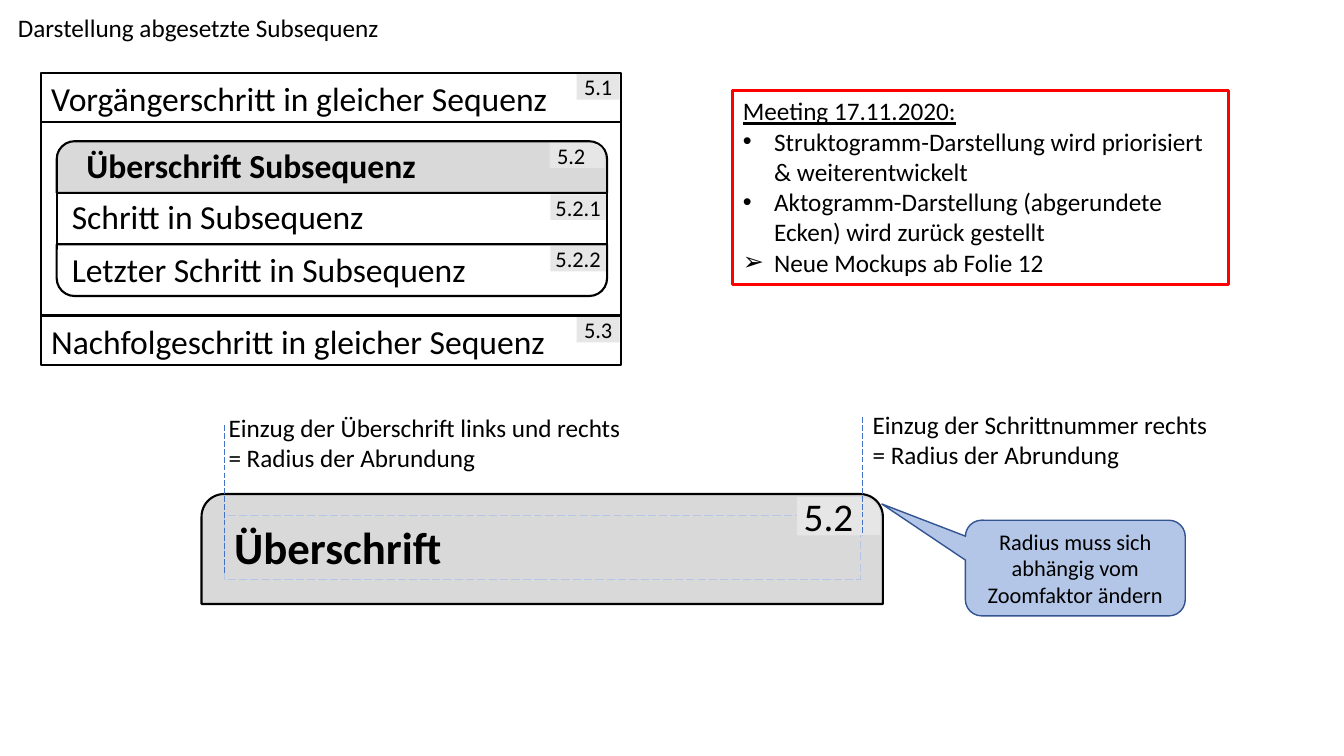
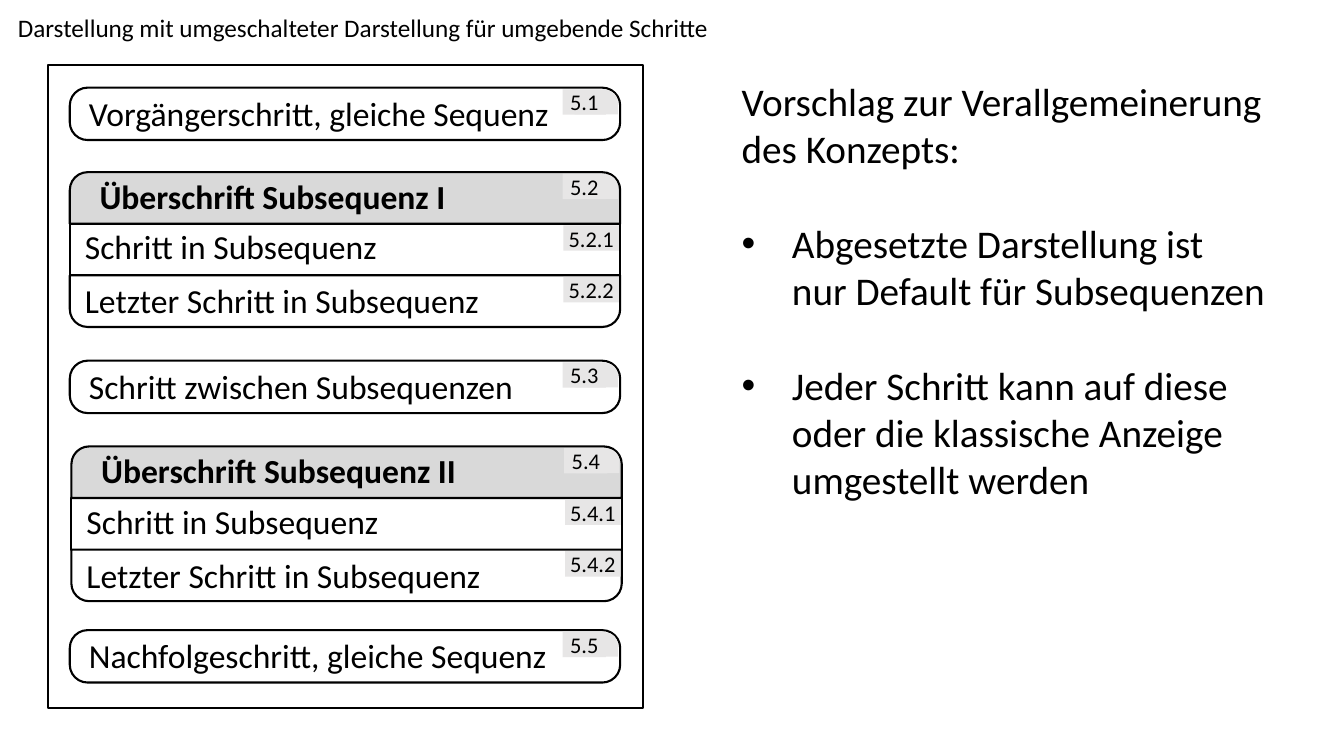
"""Two slides on how detached subsequences are drawn in a step diagram."""
import pptx
import pptx.dml.color
import pptx.enum.dml
import pptx.enum.shapes
import pptx.enum.text
import pptx.oxml.ns
import pptx.util
from lxml import etree

Cm, Pt = pptx.util.Cm, pptx.util.Pt
SHAPE = pptx.enum.shapes.MSO_SHAPE
ALIGN = pptx.enum.text.PP_ALIGN
ANCHOR = pptx.enum.text.MSO_ANCHOR
qn = pptx.oxml.ns.qn

COLORS = {
    "ink": "000000", "paper": "FFFFFF", "heading": "D9D9D9", "number": "E7E6E6",
    "alert": "FF0000", "guide": "4472C4", "inset": "B4C7E7", "callout_edge": "325491",
}
FONT = "Calibri"
ROW_WIDTH, ROW_HEIGHT, RADIUS = 13.87, 1.3, 0.45
SEQUENCE_LEFT, SEQUENCE_WIDTH, SEQUENCE_ROW = 1.04, 14.61, 1.24

TITLES = [
    ("Darstellung abgesetzte Subsequenz", 14.1),
    ("Darstellung mit umgeschalteter Darstellung für umgebende Schritte", 18.42),
]
SEQUENCE_STEPS = [
    (1.83, "Vorgängerschritt in gleicher Sequenz", "5.1"),
    (7.95, "Nachfolgeschritt in gleicher Sequenz", "5.3"),
]
SEQUENCE_BODY = (SEQUENCE_LEFT, 3.07, SEQUENCE_WIDTH, 4.88)
SUBSTEPS = ["Schritt in Subsequenz", "Letzter Schritt in Subsequenz"]
DETACHED = (1.43, 3.56, "Überschrift Subsequenz", "5.2")
SUBSEQUENCES = [
    (1.76, 4.34, "Überschrift Subsequenz I", "5.2"),
    (1.8, 11.25, "Überschrift Subsequenz II", "5.4"),
]
ROUNDED_STEPS = [
    (2.21, "Vorgängerschritt, gleiche Sequenz", "5.1"),
    (9.09, "Schritt zwischen Subsequenzen", "5.3"),
    (15.88, "Nachfolgeschritt, gleiche Sequenz", "5.5"),
]
MEETING = [
    ("Meeting 17.11.2020:", None),
    ("Struktogramm-Darstellung wird priorisiert & weiterentwickelt", "•"),
    ("Aktogramm-Darstellung (abgerundete Ecken) wird zurück gestellt", "•"),
    ("Neue Mockups ab Folie 12", "➢"),
]
PROPOSAL = [
    ("Vorschlag zur Verallgemeinerung des Konzepts:", None),
    ("Abgesetzte Darstellung ist nur Default für Subsequenzen", "•"),
    ("Jeder Schritt kann auf diese oder die klassische Anzeige umgestellt werden", "•"),
]
BIG_HEADING = (5.08, 12.45, 17.17, 2.77)
BIG_RADIUS = 0.57
GUIDES = [
    (5.08 + BIG_RADIUS, 10.72, 14.43),
    (5.08 + 17.17 - BIG_RADIUS + 0.04, 10.52, 13.49),
]
GUIDE_NOTES = [
    ((5.51, 10.26, 10.67, 1.8), "Einzug der Überschrift links und rechts"),
    ((21.74, 10.19, 9.22, 1.8), "Einzug der Schrittnummer rechts"),
]
GUIDE_RULE = "= Radius der Abrundung"
CALLOUT = "Radius muss sich abhängig vom Zoomfaktor ändern"


def rgb(name):
    return pptx.dml.color.RGBColor.from_string(COLORS[name])


def add_run(paragraph, text, size, bold=False, underline=None):
    run = paragraph.add_run()
    run.text = text
    run.font.name, run.font.size = FONT, Pt(size)
    run.font.bold, run.font.underline = bold, underline
    run.font.color.rgb = rgb("ink")


def add_bullet(paragraph, mark, indent):
    properties = paragraph._p.get_or_add_pPr()
    properties.set("marL", str(Cm(indent)))
    properties.set("indent", str(-Cm(indent)))
    etree.SubElement(properties, qn("a:buFont")).set("typeface", "Arial")
    etree.SubElement(properties, qn("a:buChar")).set("char", mark)


def add_text(slide, box, lines, size, bold=False, indent=0.79, gap=0, underline_first=False):
    holder = slide.shapes.add_textbox(*map(Cm, box))
    frame = holder.text_frame
    frame.word_wrap = True
    for index, (text, mark) in enumerate(lines):
        paragraph = frame.add_paragraph() if index else frame.paragraphs[0]
        if index and gap:
            paragraph.space_before = Pt(gap)
        if mark:
            add_bullet(paragraph, mark, indent)
        add_run(paragraph, text, size, bold, True if underline_first and not index else None)
    return holder


def add_label(slide, left, top, width, text, bold=False):
    add_text(slide, (left, top, width, 1.27), [(text, None)], 24, bold)


def add_block(slide, kind, box, fill="paper", edge="ink", radii=()):
    block = slide.shapes.add_shape(kind, *map(Cm, box))
    block.shadow.inherit = False
    block.fill.solid()
    block.fill.fore_color.rgb = rgb(fill)
    if edge:
        block.line.color.rgb = rgb(edge)
        block.line.width = Pt(1.5)
    else:
        block.line.fill.background()
    for index, radius in enumerate(radii):
        block.adjustments[index] = radius / box[3]
    return block


def add_centered(block, text, size):
    frame = block.text_frame
    frame.word_wrap = True
    frame.vertical_anchor = ANCHOR.MIDDLE
    frame.paragraphs[0].alignment = ALIGN.CENTER
    add_run(frame.paragraphs[0], text, size)


def add_number(slide, right, top, text, inset=0.03, size=16, width=1.09, height=0.64):
    """Place a step number; a rounded cap fills the inset beside a curved corner."""
    if inset > 0.1:
        cap = (right - 0.06 - width, top + 0.06, width, height - 0.03)
        add_block(slide, SHAPE.ROUND_2_SAME_RECTANGLE, cap, "number", None, (cap[3] / 2, 0))
    box = (right - inset - width, top + 0.04, width, height)
    number = add_block(slide, SHAPE.RECTANGLE, box, "number", None)
    number.text_frame.margin_left = number.text_frame.margin_right = Cm(0.1)
    add_centered(number, text, size)


def add_sequence_step(slide, top, text, number):
    box = (SEQUENCE_LEFT, top, SEQUENCE_WIDTH, SEQUENCE_ROW)
    add_block(slide, SHAPE.RECTANGLE, box)
    add_label(slide, SEQUENCE_LEFT, top, 13.28, text)
    add_number(slide, SEQUENCE_LEFT + SEQUENCE_WIDTH, top, number)


def add_subsequence(slide, left, top, heading, number):
    right = left + ROW_WIDTH
    rows = [(left, top + index * ROW_HEIGHT, ROW_WIDTH, ROW_HEIGHT) for index in range(3)]
    add_block(slide, SHAPE.RECTANGLE, rows[1])
    add_block(slide, SHAPE.ROUND_2_SAME_RECTANGLE, rows[0], "heading", radii=(RADIUS, 0))
    add_block(slide, SHAPE.ROUND_2_SAME_RECTANGLE, rows[2], radii=(0, RADIUS))
    add_label(slide, left + 0.5, top - 0.03, 10.77, heading, bold=True)
    add_number(slide, right, top, number, inset=0.36)
    for index, text in enumerate(SUBSTEPS, 1):
        row_top = rows[index][1]
        add_label(slide, left + 0.13, row_top - 0.06 * (2 - index), 11.15, text)
        add_number(slide, right, row_top, f"{number}.{index}", width=1.4)


def add_rounded_step(slide, top, text, number):
    left = SUBSEQUENCES[0][0]
    box = (left, top, ROW_WIDTH, 1.32)
    add_block(slide, SHAPE.ROUNDED_RECTANGLE, box, radii=(RADIUS,))
    add_number(slide, left + ROW_WIDTH, top, number, inset=0.36)
    add_label(slide, left + 0.23, top, 12.3, text)


def add_guide(slide, x, top, bottom):
    guide = slide.shapes.add_connector(
        pptx.enum.shapes.MSO_CONNECTOR.STRAIGHT, Cm(x), Cm(top), Cm(x), Cm(bottom))
    guide.line.color.rgb = rgb("guide")
    guide.line.width = Pt(0.5)
    guide.line.dash_style = pptx.enum.dml.MSO_LINE.LONG_DASH
    etree.SubElement(guide._element.spPr, qn("a:effectLst"))


def add_big_heading(slide):
    left, top, width, height = BIG_HEADING
    add_block(slide, SHAPE.ROUND_2_SAME_RECTANGLE, BIG_HEADING, "heading", radii=(BIG_RADIUS, 0))
    inner = (left + BIG_RADIUS, top + 0.53, width - 2 * BIG_RADIUS, 1.62)
    heading = add_text(slide, inner, [("Überschrift", None)], 32, bold=True)
    heading.line.color.rgb = rgb("inset")
    heading.line.width = Pt(0.75)
    heading.line.dash_style = pptx.enum.dml.MSO_LINE.LONG_DASH
    add_number(slide, left + width, top + 0.03, "5.2", BIG_RADIUS, 28, 1.6, 0.97)


def add_callout(slide):
    callout = add_block(slide, SHAPE.ROUNDED_RECTANGULAR_CALLOUT,
                        (24.33, 13.11, 5.54, 2.41), "guide", "callout_edge")
    callout.line.width = Pt(1)
    for index, value in enumerate((-0.88, -0.67, 0.17)):
        callout.adjustments[index] = value
    color = callout._element.spPr.find(qn("a:solidFill"))[0]
    etree.SubElement(color, qn("a:alpha")).set("val", "40000")
    add_centered(callout, CALLOUT, 16)


def add_titled_slide(deck, title, width):
    slide = deck.slides.add_slide(deck.slide_layouts[6])
    add_text(slide, (0.2, 0.18, width, 1.02), [(title, None)], 18)
    return slide


def build_detached(slide):
    add_block(slide, SHAPE.RECTANGLE, SEQUENCE_BODY)
    for step in SEQUENCE_STEPS:
        add_sequence_step(slide, *step)
    add_subsequence(slide, *DETACHED)
    add_big_heading(slide)
    for guide in GUIDES:
        add_guide(slide, *guide)
    for box, note in GUIDE_NOTES:
        add_text(slide, box, [(note, None), (GUIDE_RULE, None)], 18)
    add_callout(slide)
    meeting = add_text(slide, (18.47, 2.29, 12.5, 4.88), MEETING, 18, underline_first=True)
    meeting.fill.solid()
    meeting.fill.fore_color.rgb = rgb("paper")
    meeting.line.color.rgb = rgb("alert")
    meeting.line.width = Pt(2.25)


def build_switched(slide):
    add_block(slide, SHAPE.RECTANGLE, (1.22, 1.63, 14.99, 16.21))
    for subsequence in SUBSEQUENCES:
        add_subsequence(slide, *subsequence)
    for step in ROUNDED_STEPS:
        add_rounded_step(slide, *step)
    add_text(slide, (18.44, 1.83, 13.69, 12.22), PROPOSAL, 28, indent=1.27, gap=34)


def main():
    deck = pptx.Presentation()
    deck.slide_width, deck.slide_height = Cm(33.87), Cm(19.05)
    for title, build in zip(TITLES, (build_detached, build_switched)):
        build(add_titled_slide(deck, *title))
    deck.save("out.pptx")


if __name__ == "__main__":
    main()
